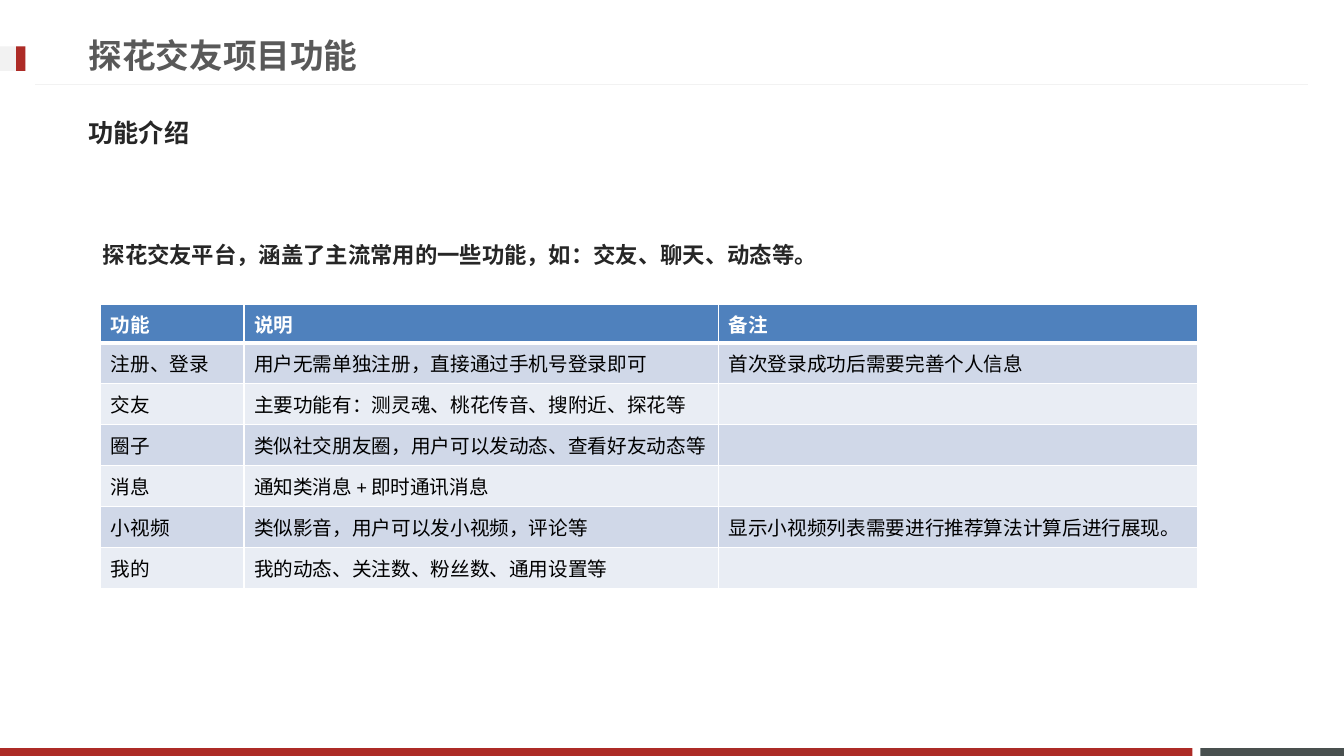
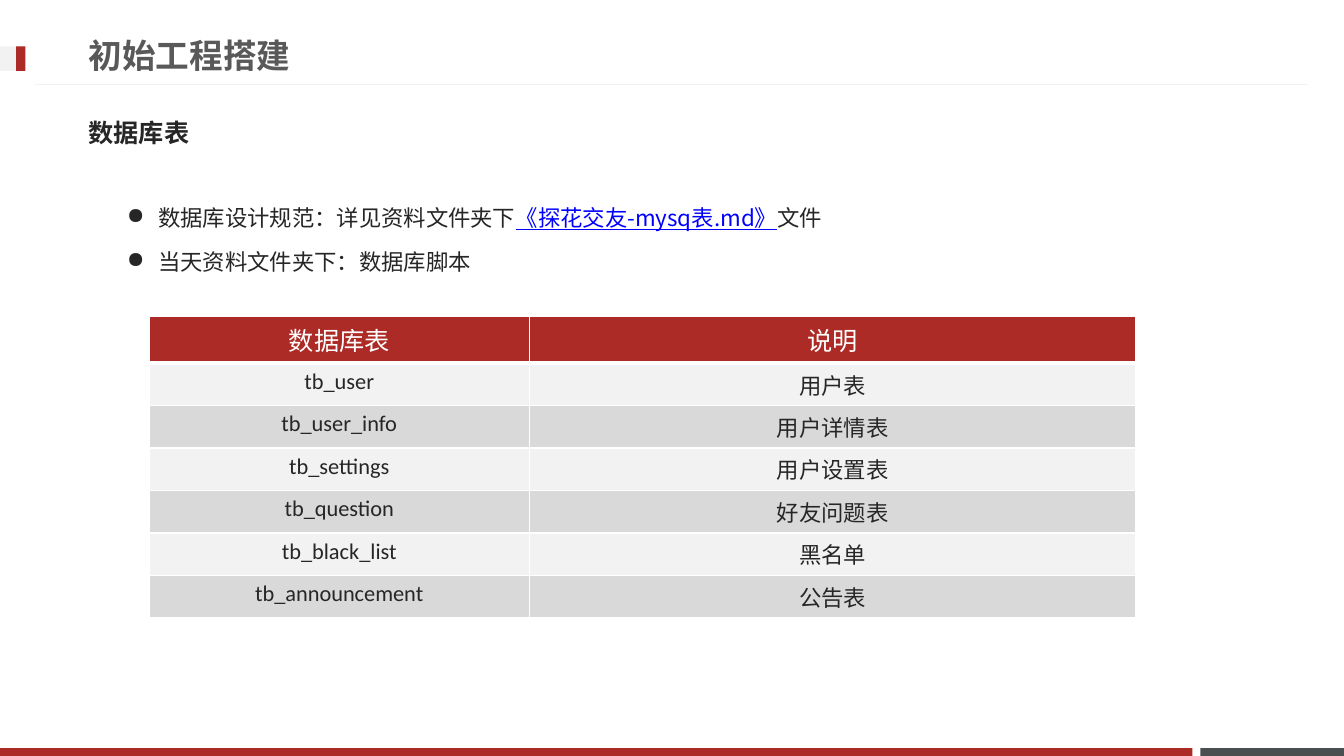
from lxml import etree
from pptx import Presentation
from pptx.dml.color import RGBColor
from pptx.enum.shapes import MSO_CONNECTOR, MSO_SHAPE
from pptx.enum.text import MSO_ANCHOR, PP_ALIGN
from pptx.oxml.ns import qn
from pptx.util import Cm, Pt

RECTANGLE = MSO_SHAPE.RECTANGLE
STRAIGHT = MSO_CONNECTOR.STRAIGHT
TOP, MIDDLE = MSO_ANCHOR.TOP, MSO_ANCHOR.MIDDLE
LEFT, CENTER = PP_ALIGN.LEFT, PP_ALIGN.CENTER

RED, SLATE, PALE, WHITE = "AD2B26", "49504F", "F2F2F2", "FFFFFF"
TITLE_GRAY, INK, BLACK, LINK_BLUE = "595959", "262626", "000000", "0000FF"
HEADER_BLUE, BAND_BLUE, LIGHT_BLUE, BAND_GRAY = "4F81BD", "D0D8E8", "E9EDF4", "D9D9D9"
CJK, ROBOTO, CALIBRI = "Noto Sans CJK JP", "Roboto", "Calibri"

BANDS = [
    (30.25, 18.85, 3.62, 0.2, SLATE),
    (0, 18.85, 30.05, 0.2, RED),
    (0, 1.17, 0.64, 0.62, PALE),
    (0.41, 1.17, 0.23, 0.62, RED),
]

FEATURES = [
    ("功能", "说明", "备注"),
    ("注册、登录", "用户无需单独注册，直接通过手机号登录即可", "首次登录成功后需要完善个人信息"),
    ("交友", "主要功能有：测灵魂、桃花传音、搜附近、探花等", ""),
    ("圈子", "类似社交朋友圈，用户可以发动态、查看好友动态等", ""),
    ("消息", "通知类消息 + 即时通讯消息", ""),
    ("小视频", "类似影音，用户可以发小视频，评论等", "显示小视频列表需要进行推荐算法计算后进行展现。"),
    ("我的", "我的动态、关注数、粉丝数、通用设置等", ""),
]

DATABASE_TABLES = [
    ("数据库表", "说明"),
    ("tb_user", "用户表"),
    ("tb_user_info", "用户详情表"),
    ("tb_settings", "用户设置表"),
    ("tb_question", "好友问题表"),
    ("tb_black_list", "黑名单"),
    ("tb_announcement", "公告表"),
]


def rgb(value):
    return RGBColor.from_string(value)


def format_span(span, size, color, font=CJK, bold=False):
    span.font.size = Pt(size)
    span.font.name = font
    span.font.bold = bold
    span.font.color.rgb = rgb(color)
    properties = span._r.get_or_add_rPr()
    properties.set("lang", "zh-CN")
    east_asian = etree.Element(qn("a:ea"), typeface=CJK)
    properties.find(qn("a:latin")).addnext(east_asian)


def format_paragraph(paragraph, size, color, font=CJK, bold=False, align=LEFT):
    paragraph.alignment = align
    for span in paragraph.runs:
        format_span(span, size, color, font, bold)
    if not paragraph.runs:
        etree.SubElement(paragraph._p, qn("a:endParaRPr"), sz=str(size * 100))


def add_band(slide, left, top, width, height, color):
    band = slide.shapes.add_shape(RECTANGLE, Cm(left), Cm(top), Cm(width), Cm(height))
    band.shadow.inherit = False
    band.fill.solid()
    band.fill.fore_color.rgb = rgb(color)
    band.line.fill.background()


def add_rule(slide, left, right, top):
    rule = slide.shapes.add_connector(STRAIGHT, Cm(left), Cm(top), Cm(right), Cm(top))
    rule.line.color.rgb = rgb(PALE)
    rule.line.width = Pt(0.75)
    etree.SubElement(rule._element.spPr, qn("a:effectLst"))


def add_text_box(slide, left, top, width, height, anchor=TOP):
    box = slide.shapes.add_textbox(Cm(left), Cm(top), Cm(width), Cm(height))
    box.text_frame.word_wrap = True
    box.text_frame.vertical_anchor = anchor
    return box.text_frame


def add_page(deck, heading, subheading):
    slide = deck.slides.add_slide(deck.slide_layouts[5])
    for band in BANDS:
        add_band(slide, *band)
    add_rule(slide, 0.89, 32.97, 2.13)

    title = slide.shapes.title
    title.left, title.top, title.width, title.height = Cm(1.98), Cm(0.66), Cm(24.36), Cm(1.45)
    title.text_frame.text = heading
    title.text_frame.vertical_anchor = MIDDLE
    format_paragraph(title.text_frame.paragraphs[0], 24, TITLE_GRAY, ROBOTO, True)

    frame = add_text_box(slide, 1.98, 2.62, 29.72, 1.45, MIDDLE)
    frame.text = subheading
    format_paragraph(frame.paragraphs[0], 18, INK, bold=True)
    return slide


def add_bullet(paragraph):
    indent = Cm(0.79)
    properties = paragraph._p.get_or_add_pPr()
    properties.set("marL", str(indent))
    properties.set("indent", str(-indent))
    etree.SubElement(properties, qn("a:buChar"), char="●")


def set_borders(cell, row_index):
    widths = {"L": 1, "R": 1, "T": 3 if row_index == 1 else 1, "B": 3 if row_index == 0 else 1}
    properties = cell._tc.get_or_add_tcPr()
    for side, width in widths.items():
        border = etree.SubElement(properties, qn(f"a:ln{side}"), w=str(Pt(width)))
        fill = etree.SubElement(border, qn("a:solidFill"))
        etree.SubElement(fill, qn("a:srgbClr"), val=WHITE)


def add_grid(slide, left, top, widths, heights, rows, fills, style):
    header_height, row_height = heights
    total_height = header_height + row_height * (len(rows) - 1)
    frame = slide.shapes.add_table(
        len(rows), len(widths), Cm(left), Cm(top), Cm(sum(widths)), Cm(total_height))
    table = frame.table
    table.first_row = table.horz_banding = False
    for column, width in zip(table.columns, widths):
        column.width = Cm(width)
    for row_index, texts in enumerate(rows):
        table.rows[row_index].height = Cm(row_height if row_index else header_height)
        fill = fills[2 - row_index % 2] if row_index else fills[0]
        for column_index, text in enumerate(texts):
            cell = table.cell(row_index, column_index)
            cell.text_frame.text = text
            set_borders(cell, row_index)
            cell.fill.solid()
            cell.fill.fore_color.rgb = rgb(fill)
            style(cell, row_index, column_index)


def style_feature(cell, row_index, column_index):
    header = row_index == 0
    cell.vertical_anchor = MIDDLE
    format_paragraph(cell.text_frame.paragraphs[0], 14, WHITE if header else BLACK, CALIBRI, header)


def style_database(cell, row_index, column_index):
    size, color = (16, INK) if row_index else (18, WHITE)
    font = ROBOTO if row_index and column_index else CALIBRI
    format_paragraph(cell.text_frame.paragraphs[0], size, color, font, align=CENTER)


def build_features(deck):
    slide = add_page(deck, "探花交友项目功能", "功能介绍")
    frame = add_text_box(slide, 2.34, 5.65, 27.36, 1.4)
    frame.text = "探花交友平台，涵盖了主流常用的一些功能，如：交友、聊天、动态等。"
    frame.paragraphs[0].line_spacing = Pt(28)
    format_paragraph(frame.paragraphs[0], 16, INK, bold=True)
    add_grid(slide, 2.54, 7.67, (3.61, 11.96, 12.06), (0.97, 1.03), FEATURES,
             (HEADER_BLUE, BAND_BLUE, LIGHT_BLUE), style_feature)


def build_database(deck):
    slide = add_page(deck, "初始工程搭建", "数据库表")
    frame = add_text_box(slide, 2.95, 4.71, 29.72, 2.44)
    design, scripts = frame.paragraphs[0], frame.add_paragraph()
    for text in ("数据库设计规范：详见资料文件夹下", "《探花交友-mysq表.md》", "文件"):
        design.add_run().text = text
    scripts.text = "当天资料文件夹下：数据库脚本"
    for paragraph in (design, scripts):
        add_bullet(paragraph)
        paragraph.line_spacing = Pt(28)
        format_paragraph(paragraph, 16, INK)
    scripts.space_before = Pt(3.2)
    document = design.runs[1]
    document.font.color.rgb = rgb(LINK_BLUE)
    document.font.underline = True
    add_grid(slide, 3.76, 7.98, (9.58, 15.29), (1.17, 1.07), DATABASE_TABLES,
             (RED, PALE, BAND_GRAY), style_database)


def main():
    deck = Presentation()
    deck.slide_width, deck.slide_height = Cm(33.87), Cm(19.05)
    build_features(deck)
    build_database(deck)
    deck.save("out.pptx")


if __name__ == "__main__":
    main()
